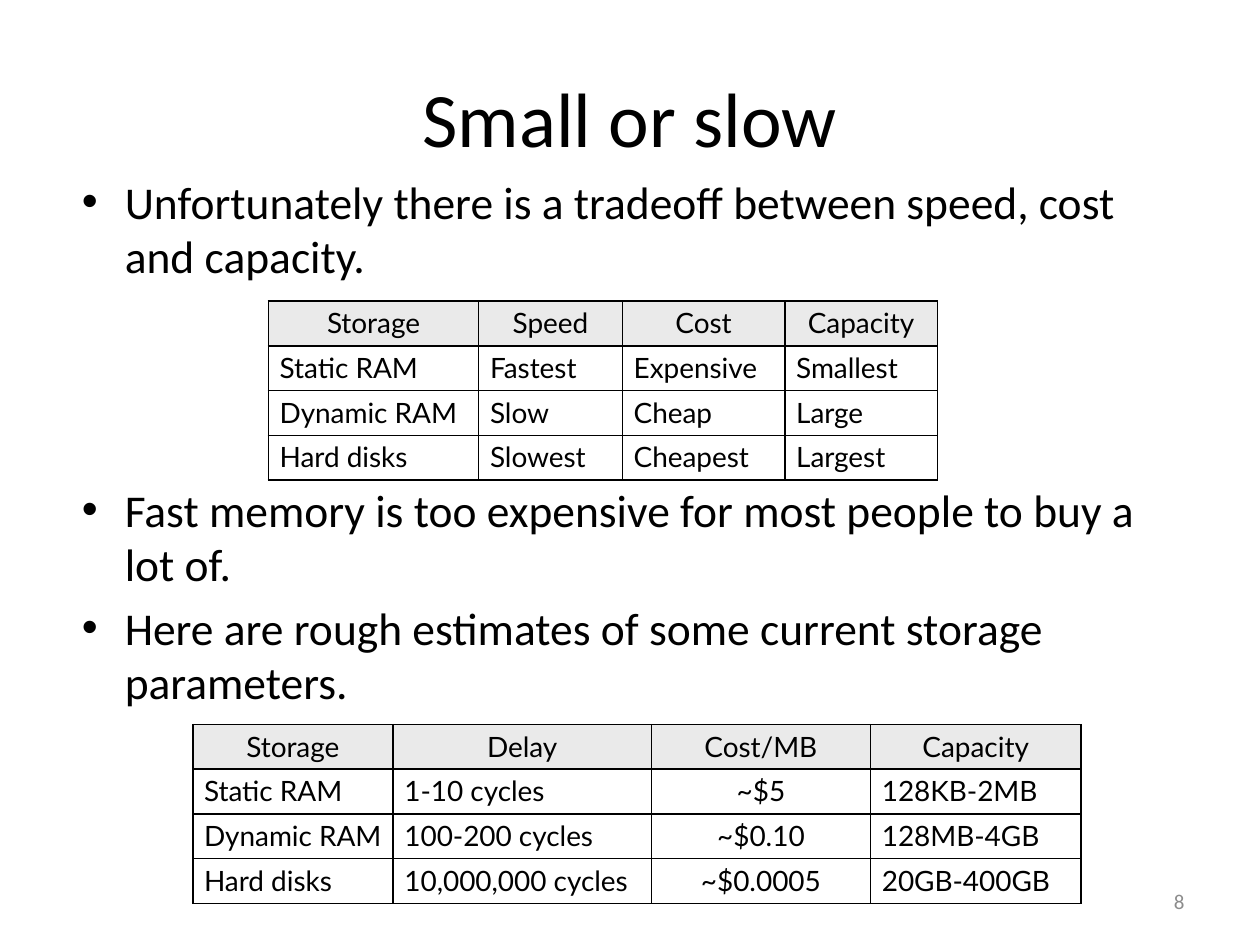
from dataclasses import dataclass

from lxml.etree import SubElement
from pptx import Presentation
from pptx.dml.color import RGBColor as RGB
from pptx.enum.text import MSO_ANCHOR as Anchor, MSO_AUTO_SIZE as AutoSize, PP_ALIGN as Align
from pptx.oxml.ns import qn
from pptx.util import Inches, Pt


@dataclass(frozen=True)
class Theme:
    text: RGB = RGB(0, 0, 0)
    muted: RGB = RGB(0x8C, 0x8C, 0x8C)
    header: RGB = RGB(0xEA, 0xEA, 0xEA)
    border: str = "000000"
    font: str = "Calibri"
    table_font: str = "Lato"
    title_size: Pt = Pt(44)
    body_size: Pt = Pt(26)
    table_size: Pt = Pt(16)
    number_size: Pt = Pt(12)


THEME = Theme()
INDENT = Inches(0.34)
ROW_HEIGHT = Inches(0.355)
PARAGRAPH_GAP = Pt(5.2)
TABLE_GAP = Pt(113.5)

BULLETS = [
    ("Unfortunately there is a tradeoff between speed, cost and capacity.", Pt(0)),
    ("Fast memory is too expensive for most people to buy a lot of.", TABLE_GAP),
    ("Here are rough estimates of some current storage parameters.", PARAGRAPH_GAP),
]
TRADEOFFS = [
    ("Storage", "Speed", "Cost", "Capacity"),
    ("Static RAM", "Fastest", "Expensive", "Smallest"),
    ("Dynamic RAM", "Slow", "Cheap", "Large"),
    ("Hard disks", "Slowest", "Cheapest", "Largest"),
]
ESTIMATES = [
    ("Storage", "Delay", "Cost/MB", "Capacity"),
    ("Static RAM", "1-10 cycles", "~$5", "128KB-2MB"),
    ("Dynamic RAM", "100-200 cycles", "~$0.10", "128MB-4GB"),
    ("Hard disks", "10,000,000 cycles", "~$0.0005", "20GB-400GB"),
]


def apply(target, values):
    for name, value in values.items():
        setattr(target, name, value)


def place(sp, left, top, width, height):
    apply(sp, {"left": Inches(left), "top": Inches(top),
               "width": Inches(width), "height": Inches(height)})


def write(p, text, size, align=Align.LEFT, color=THEME.text, name=THEME.font):
    p.alignment = align
    r = p.add_run()
    r.text = text
    apply(r.font, {"size": size, "name": name})
    r.font.color.rgb = color


def set_frame(tf, anchor):
    apply(tf, {"word_wrap": True, "auto_size": AutoSize.NONE, "vertical_anchor": anchor})


def add_title(s, text):
    sp = s.shapes.title
    place(sp, 0.5, 0.3, 9, 1.25)
    set_frame(sp.text_frame, Anchor.MIDDLE)
    write(sp.text_frame.paragraphs[0], text, THEME.title_size, Align.CENTER)


def add_bullets(s, items):
    sp = s.placeholders[1]
    place(sp, 0.55, 1.33, 9, 4.95)
    tf = sp.text_frame
    set_frame(tf, Anchor.TOP)
    for i, (text, gap) in enumerate(items):
        p = tf.add_paragraph() if i else tf.paragraphs[0]
        p.space_before = gap
        pPr = p._p.get_or_add_pPr()
        pPr.set("marL", str(INDENT))
        pPr.set("indent", str(-INDENT))
        SubElement(pPr, qn("a:buChar"), char="•")
        write(p, text, THEME.body_size)


def add_borders(cell):
    tcPr = cell._tc.get_or_add_tcPr()
    for i, side in enumerate(("lnL", "lnR", "lnT", "lnB")):
        ln = tcPr.makeelement(qn(f"a:{side}"), {"w": str(Pt(1))})
        fill = SubElement(ln, qn("a:solidFill"))
        SubElement(fill, qn("a:srgbClr"), val=THEME.border)
        tcPr.insert(i, ln)


def add_storage_table(s, left, top, widths, rows, centred=()):
    """Draw a ruled table; centred lists the columns whose values are centred."""
    frame = s.shapes.add_table(len(rows), len(widths), Inches(left), Inches(top),
                               Inches(sum(widths)), ROW_HEIGHT * len(rows))
    table = frame.table
    apply(table, {"first_row": False, "horz_banding": False})
    for column, width in zip(table.columns, widths):
        column.width = Inches(width)
    for i, row in enumerate(rows):
        for j, text in enumerate(row):
            cell = table.cell(i, j)
            apply(cell, {"margin_left": Inches(0.09), "margin_right": Inches(0.09),
                         "margin_top": Inches(0.04), "margin_bottom": Inches(0.04)})
            if i == 0:
                cell.fill.solid()
                cell.fill.fore_color.rgb = THEME.header
            else:
                cell.fill.background()
            add_borders(cell)
            align = Align.CENTER if i == 0 or j in centred else Align.LEFT
            write(cell.text_frame.paragraphs[0], text, THEME.table_size, align,
                  name=THEME.table_font)


def add_slide_number(s, number):
    sp = s.shapes.add_textbox(Inches(7.17), Inches(6.95), Inches(2.33), Inches(0.4))
    set_frame(sp.text_frame, Anchor.MIDDLE)
    write(sp.text_frame.paragraphs[0], number, THEME.number_size, Align.RIGHT, THEME.muted)


def main():
    prs = Presentation()
    apply(prs, {"slide_width": Inches(10), "slide_height": Inches(7.5)})
    s = prs.slides.add_slide(prs.slide_layouts[1])
    add_slide_number(s, "8")
    add_title(s, "Small or slow")
    add_bullets(s, BULLETS)
    add_storage_table(s, 2.13, 2.39, (1.67, 1.14, 1.29, 1.21), TRADEOFFS)
    add_storage_table(s, 1.53, 5.75, (1.59, 2.05, 1.74, 1.67), ESTIMATES, centred=(2,))
    prs.save("out.pptx")


if __name__ == "__main__":
    main()
